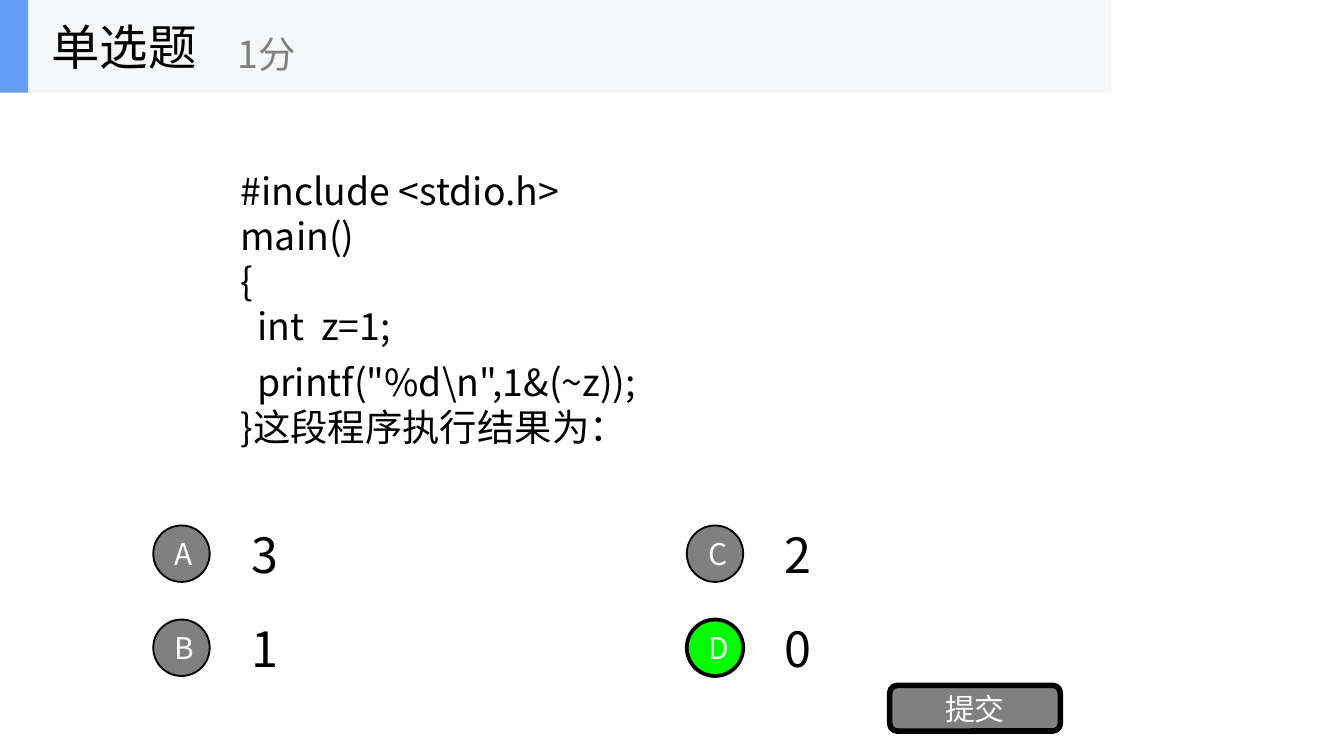
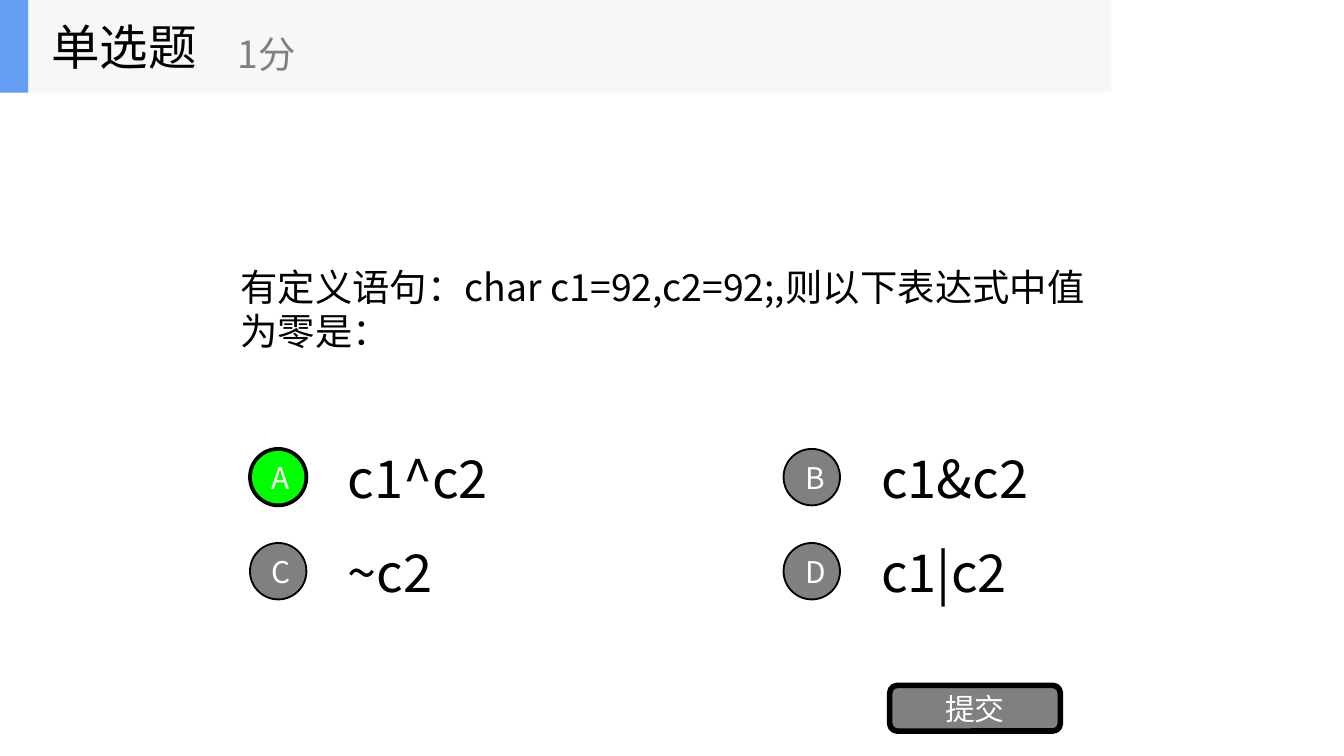
from lxml import etree
from pptx import Presentation
from pptx.dml.color import RGBColor
from pptx.enum.shapes import MSO_SHAPE
from pptx.enum.text import MSO_ANCHOR, MSO_AUTO_SIZE, PP_ALIGN
from pptx.oxml.ns import qn
from pptx.util import Inches, Pt

RECT, OVAL, ROUNDED = MSO_SHAPE.RECTANGLE, MSO_SHAPE.OVAL, MSO_SHAPE.ROUNDED_RECTANGLE
LEFT, CENTER = PP_ALIGN.LEFT, PP_ALIGN.CENTER
MIDDLE, NO_AUTOFIT = MSO_ANCHOR.MIDDLE, MSO_AUTO_SIZE.NONE

FONT = "Noto Sans CJK SC"
BLACK, WHITE, GRAY, GREEN = "000000", "FFFFFF", "808080", "00FF00"
PALE, BLUE = "F6F7F8", "639EF4"
HEADER_HEIGHT = 0.69
COLUMN_STEP, ROW_STEP = 3.97, 0.7
BADGE = 0.42
ANSWER_DX, ANSWER_DY = 0.63, -0.05
FRAME_FORMAT = {"word_wrap": True, "vertical_anchor": MIDDLE, "auto_size": NO_AUTOFIT}

QUESTIONS = [
    {
        "lines": [
            "#include <stdio.h>",
            "main()",
            "{",
            "  int  z=1;",
            "  printf(\"%d\\n\",1&(~z));",
            "}这段程序执行结果为：",
        ],
        "space_after": {3: 6},
        "origin": (1.14, 3.91),
        "size": 26,
        "options": [("A", "3", 0, 0), ("B", "1", 0, 1), ("C", "2", 1, 0), ("D", "0", 1, 1)],
        "correct": "D",
    },
    {
        "lines": ["有定义语句：char c1=92,c2=92;,则以下表达式中值为零是："],
        "space_after": {},
        "origin": (1.86, 3.34),
        "size": 28,
        "options": [
            ("A", "c1^c2", 0, 0),
            ("B", "c1&c2", 1, 0),
            ("C", "~c2", 0, 1),
            ("D", "c1|c2", 1, 1),
        ],
        "correct": "A",
    },
]


def write(holder, lines, size, color=BLACK, align=LEFT):
    frame = holder.text_frame
    for name, value in FRAME_FORMAT.items():
        setattr(frame, name, value)
    for index, line in enumerate(lines):
        paragraph = frame.add_paragraph() if index else frame.paragraphs[0]
        paragraph.alignment = align
        run = paragraph.add_run()
        run.text = line
        for name, value in {"size": Pt(size), "name": FONT}.items():
            setattr(run.font, name, value)
        run.font.color.rgb = RGBColor.from_string(color)
        etree.SubElement(run._r.get_or_add_rPr(), qn("a:ea"), typeface=FONT)
    return frame


def draw(slide, kind, box, fill, line_width=0):
    shape = slide.shapes.add_shape(kind, *map(Inches, box))
    shape.shadow.inherit = False
    shape.fill.solid()
    shape.fill.fore_color.rgb = RGBColor.from_string(fill)
    if line_width:
        shape.line.color.rgb = RGBColor.from_string(BLACK)
        shape.line.width = Pt(line_width)
    else:
        shape.line.fill.background()
    return shape


deck = Presentation()
deck.slide_width = Inches(10)
deck.slide_height = deck.slide_width * 9 // 16
title_only = deck.slide_layouts[5]

for question in QUESTIONS:
    slide = deck.slides.add_slide(title_only)
    shapes = slide.shapes

    stem = shapes.add_textbox(*map(Inches, (1.69, HEADER_HEIGHT, 6.62, 3.21)))
    paragraphs = write(stem, question["lines"], 20).paragraphs
    for index, gap in question["space_after"].items():
        paragraphs[index].space_after = Pt(gap)

    left, top = question["origin"]
    for letter, text, column, row in question["options"]:
        x, y = left + column * COLUMN_STEP, top + row * ROW_STEP
        answer = shapes.add_textbox(*map(Inches, (x + ANSWER_DX, y + ANSWER_DY, 3.03, 0.53)))
        write(answer, [text], question["size"])
        fill, width = (GREEN, 2) if letter == question["correct"] else (GRAY, 1)
        badge = draw(slide, OVAL, (x, y, BADGE, BADGE), fill, width)
        write(badge, [letter], 16, WHITE, CENTER)

    submit = draw(slide, ROUNDED, (6.62, 5.1, 1.27, 0.34), GRAY, 3)
    write(submit, ["提交"], 16, WHITE, CENTER)

    draw(slide, RECT, (0, 0, 8.27, HEADER_HEIGHT), PALE)
    draw(slide, RECT, (0, 0, 0.21, HEADER_HEIGHT), BLUE)

    title = shapes.title
    title_box = {"left": 0.28, "top": 0, "width": 2.08, "height": HEADER_HEIGHT}
    for name, value in title_box.items():
        setattr(title, name, Inches(value))
    write(title, ["单选题"], 26)
    shapes.element.append(title.element)

    score = shapes.add_textbox(*map(Inches, (1.67, 0.12, 2.5, 0.56)))
    write(score, ["1分"], 20, GRAY)

deck.save("out.pptx")
